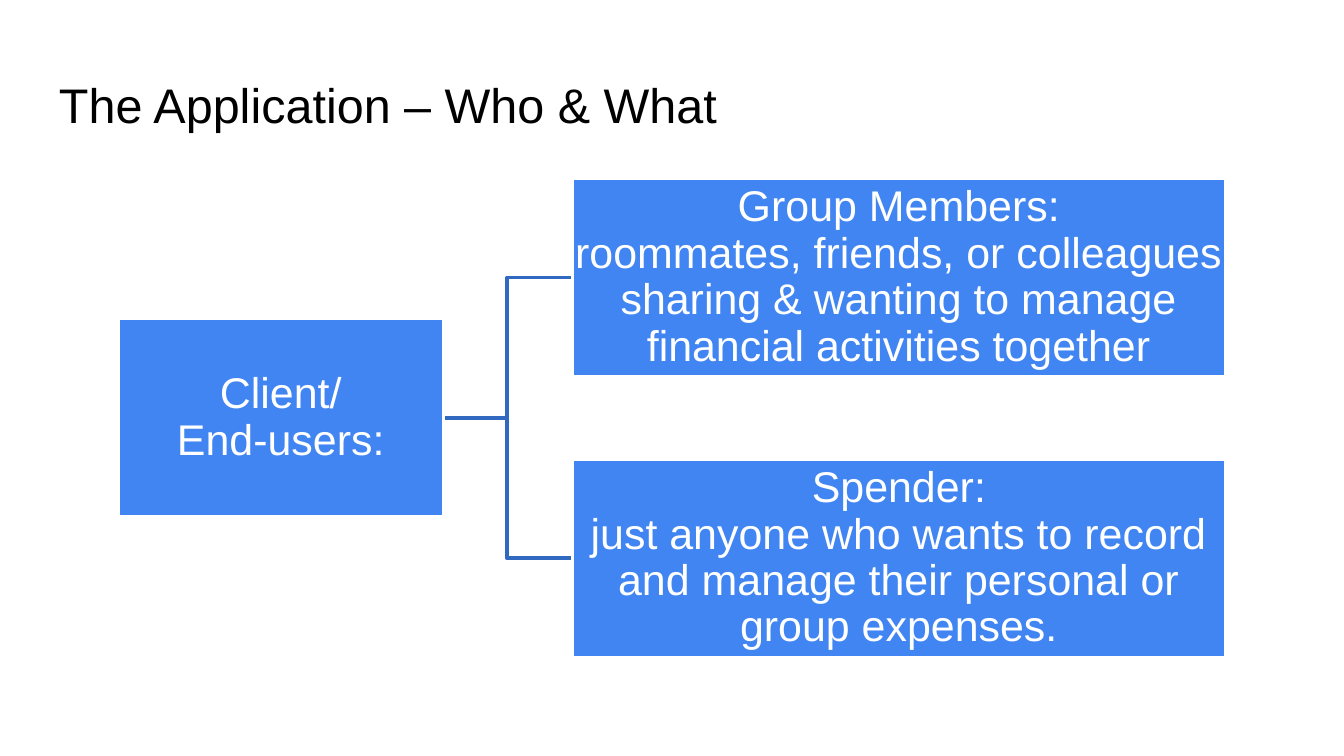
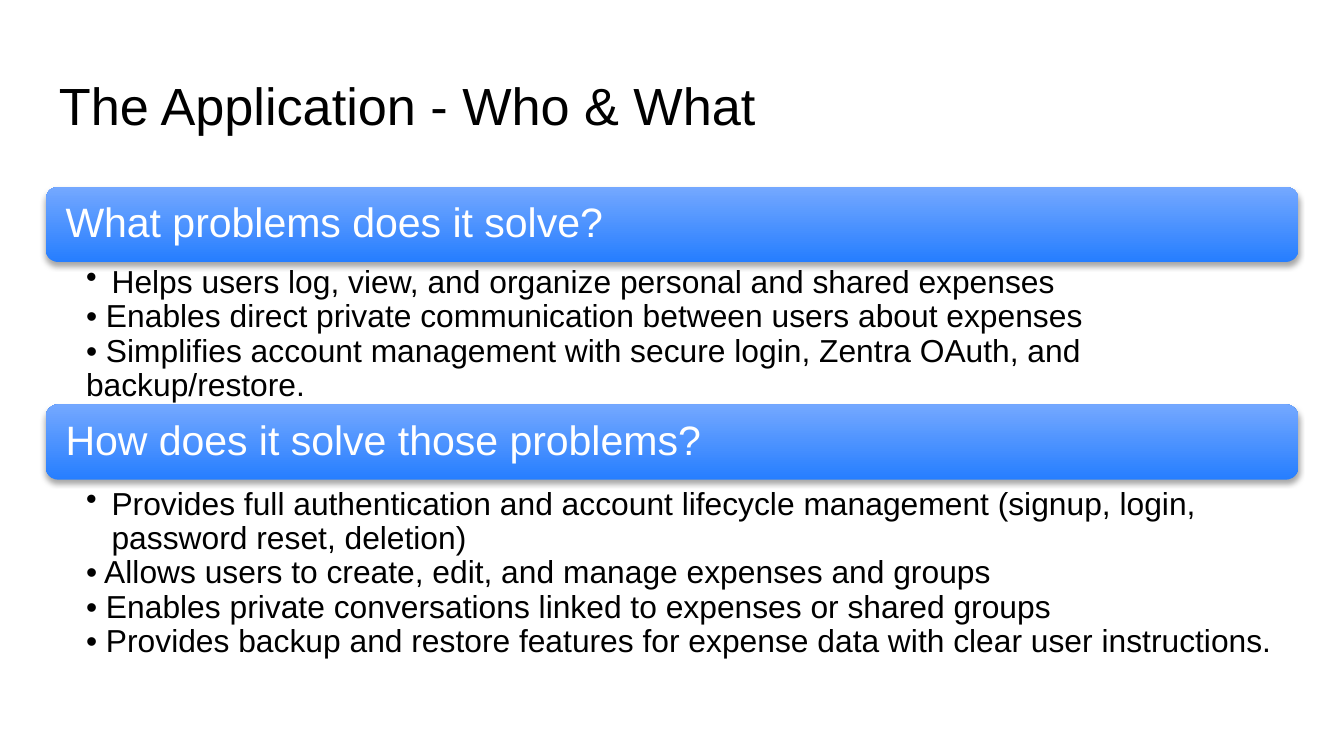
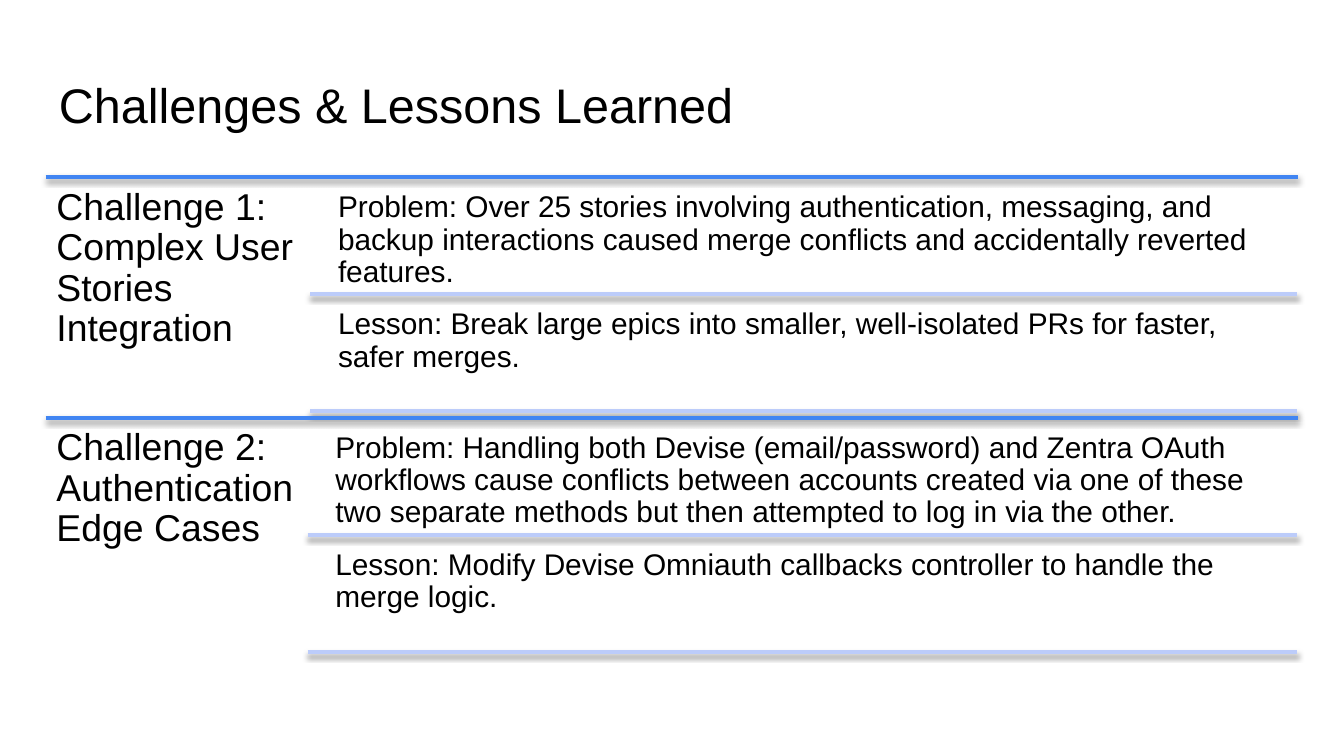
from lxml import etree
from pptx import Presentation
from pptx.dml.color import RGBColor
from pptx.enum import shapes, text
from pptx.oxml import ns
from pptx import util as u

HUES = {"ink": "000000", "paper": "FFFFFF", "blue": "4185F2", "link": "3169C1",
        "pale": "BCCCFA", "deep": "267EFF", "sky": "74A8FF"}
COLS, ROWS = 100, 56.25
LEFT, WIDE = 3.4, 93.2
MID, TOP = text.MSO_ANCHOR.MIDDLE, text.MSO_ANCHOR.TOP
RECT, ROUND = shapes.MSO_SHAPE.RECTANGLE, shapes.MSO_SHAPE.ROUNDED_RECTANGLE


def hue(name):
    return RGBColor.from_string(HUES[name])


def put(item, vals):
    for key, val in vals.items():
        setattr(item, key, val)


class Deck:
    """Holds the style and the current slide; lengths are grid columns and rows."""

    font = "Arial"

    def __init__(self):
        self.prs = Presentation()
        put(self.prs, {"slide_width": u.Inches(10), "slide_height": u.Inches(5.625)})
        self.slide = None

    def x(self, cols):
        return round(self.prs.slide_width * cols / COLS)

    def y(self, rows):
        return round(self.prs.slide_height * rows / ROWS)

    def box(self, *at):
        left, top, wide, high = at
        return self.x(left), self.y(top), self.x(wide), self.y(high)

    def page(self, title, size=26):
        self.slide = self.prs.slides.add_slide(self.prs.slide_layouts[6])
        self.note((LEFT, 4.9, WIDE, 6.3), [title], size, pad=0.1, anchor=MID)

    def label(self, shape, lines, size, tint="ink", pad=0.02, anchor=MID, align="LEFT"):
        frame = shape.text_frame
        put(frame, {"word_wrap": True, "vertical_anchor": anchor})
        pads = pad if isinstance(pad, tuple) else (pad,) * 4
        sides = ("left", "top", "right", "bottom")
        put(frame, {f"margin_{s}": u.Inches(p) for s, p in zip(sides, pads)})
        for i, line in enumerate(lines):
            para = frame.add_paragraph() if i else frame.paragraphs[0]
            para.text = line
            put(para, {"line_spacing": 0.9, "alignment": getattr(text.PP_ALIGN, align)})
            for run in para.runs:
                put(run.font, {"size": u.Pt(size), "name": self.font})
                run.font.color.rgb = hue(tint)
        return frame.paragraphs

    def note(self, at, lines, size, **style):
        area = self.slide.shapes.add_textbox(*self.box(*at))
        return self.label(area, lines, size, **style)

    def stroke(self, item, tint):
        item.line.color.rgb = hue(tint)
        item.line.width = u.Pt(2)

    def shade(self, item, alpha, dist):
        props = item._element.spPr
        effect = etree.SubElement(props, ns.qn("a:effectLst"))
        drop = etree.SubElement(effect, ns.qn("a:outerShdw"), blurRad=str(u.Pt(3.1)),
                                dist=str(u.Pt(dist)), dir="5400000", rotWithShape="0")
        tone = etree.SubElement(drop, ns.qn("a:srgbClr"), val=HUES["ink"])
        etree.SubElement(tone, ns.qn("a:alpha"), val=str(alpha * 1000))

    def card(self, at, words):
        shape = self.slide.shapes.add_shape(RECT, *self.box(*at))
        shape.shadow.inherit = False
        shape.fill.solid()
        shape.fill.fore_color.rgb = hue("blue")
        self.stroke(shape, "paper")
        self.label(shape, [words], 23, tint="paper", align="CENTER")

    def elbow(self, start, end):
        bend = (start[0] + end[0]) / 2
        dots = [start, (bend, start[1]), (bend, end[1]), end]
        dots = [(self.x(a), self.y(b)) for a, b in dots]
        form = self.slide.shapes.build_freeform(*dots[0])
        form.add_line_segments(dots[1:], close=False)
        shape = form.convert_to_shape()
        shape.shadow.inherit = False
        shape.fill.background()
        self.stroke(shape, "link")

    def bar(self, top, words):
        shape = self.slide.shapes.add_shape(ROUND, *self.box(LEFT, top, WIDE, 5.6))
        shape.adjustments[0] = 0.167
        shape.fill.gradient()
        shape.fill.gradient_angle = 90
        for stop, tint, spot in zip(shape.fill.gradient_stops, ("deep", "sky"), (0, 1)):
            stop.color.rgb = hue(tint)
            stop.position = spot
        shape.line.fill.background()
        self.shade(shape, 35, 1.8)
        self.label(shape, [words], 22, tint="paper", pad=(0.12, 0.02, 0.12, 0.02))

    def points(self, top, high, lines):
        paras = self.note((LEFT, top, WIDE, high), lines, 17,
                          pad=(0.3, 0.03, 0.17, 0.03), anchor=TOP)
        for i, para in enumerate(paras):
            para.level = 1
            hang = 0 if i else u.Inches(0.19)
            props = para._p.get_or_add_pPr()
            props.set("marL", str(hang))
            props.set("indent", str(-hang))
            if hang:
                etree.SubElement(props, ns.qn("a:buChar"), char="•")
            else:
                etree.SubElement(props, ns.qn("a:buNone"))

    def rule(self, left, right, top, tint):
        ends = self.x(left), self.y(top), self.x(right), self.y(top)
        line = self.slide.shapes.add_connector(shapes.MSO_CONNECTOR.STRAIGHT, *ends)
        self.stroke(line, tint)
        self.shade(line, 38, 1.6)


def main():
    deck = Deck()

    # Users: one root card and its two branches
    deck.page("The Application – Who & What")
    high, fork, root = 14.8, 42.6, 31.1
    users = [
        "Group Members:\nroommates, friends, or colleagues sharing & wanting to manage "
        "financial activities together",
        "Spender:\njust anyone who wants to record and manage their personal or group "
        "expenses.",
    ]
    mids = [root - 10.45, root + 10.45]
    for mid in mids:
        deck.elbow((32.9, root), (fork, mid))
    deck.card((8.8, root - high / 2, 24.2, high), "Client/\nEnd-users:")
    for mid, words in zip(mids, users):
        deck.card((fork, mid - high / 2, 48.6, high), words)

    # Problems and answers
    deck.page("The Application - Who & What", 28)
    parts = [
        (13.9, 19.5, 10.6, "What problems does it solve?", [
            "Helps users log, view, and organize personal and shared expenses",
            "• Enables direct private communication between users about expenses",
            "• Simplifies account management with secure login, Zentra OAuth, and "
            "backup/restore.",
        ]),
        (30.1, 36, 16.9, "How does it solve those problems?", [
            "Provides full authentication and account lifecycle management (signup, "
            "login, password reset, deletion)",
            "• Allows users to create, edit, and manage expenses and groups",
            "• Enables private conversations linked to expenses or shared groups",
            "• Provides backup and restore features for expense data with clear user "
            "instructions.",
        ]),
    ]
    for top, below, tall, head, lines in parts:
        deck.bar(top, head)
        deck.points(below, tall, lines)

    # Challenges, each with a problem and a lesson
    deck.page("Challenges & Lessons Learned")
    tasks = [
        (23.1, "Challenge 1: Complex User Stories Integration", [
            "Problem: Over 25 stories involving authentication, messaging, and backup "
            "interactions caused merge conflicts and accidentally reverted features.",
            "Lesson: Break large epics into smaller, well-isolated PRs for faster, "
            "safer merges.",
        ]),
        (22.9, "Challenge 2: Authentication Edge Cases", [
            "Problem: Handling both Devise (email/password) and Zentra OAuth workflows "
            "cause conflicts between accounts created via one of these two separate "
            "methods but then attempted to log in via the other.",
            "Lesson: Modify Devise Omniauth callbacks controller to handle the merge "
            "logic.",
        ]),
    ]
    edge, step = 96.5, 8.7
    for i, (left, head, lines) in enumerate(tasks):
        top = 13.2 + 17.9 * i
        deck.rule(LEFT, LEFT + WIDE, top, "blue")
        deck.note((LEFT, top, left - LEFT, 17.8), [head], 20, pad=0.08, anchor=TOP)
        for j, words in enumerate(lines):
            row, start = top + step * j, left + 1.35
            deck.note((start, row + 0.4, edge - start, 8.3), [words], 16,
                      pad=0.07, anchor=TOP)
            deck.rule(left, edge, row + step, "pale")

    deck.prs.save("out.pptx")


if __name__ == "__main__":
    main()
